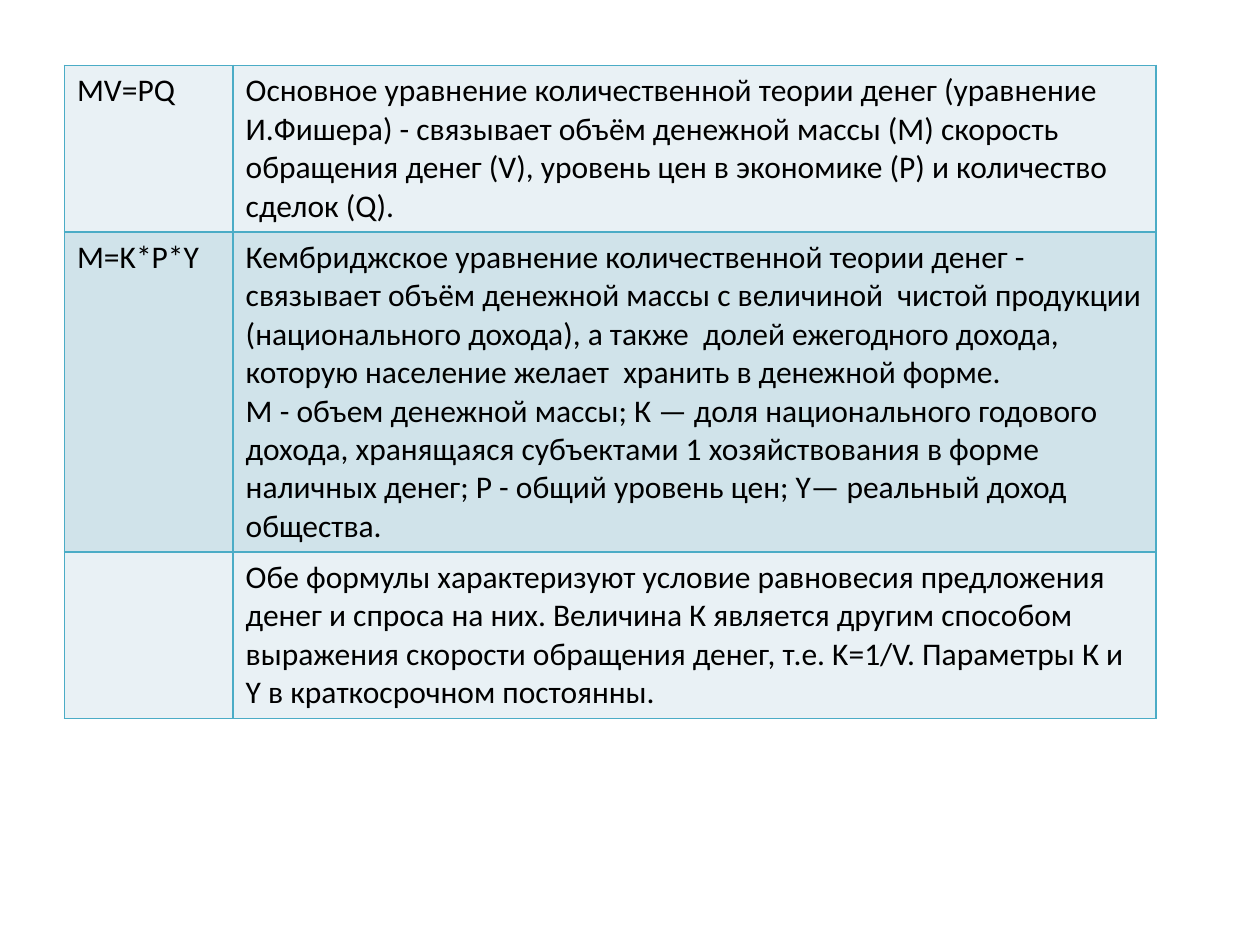
"""Build a slide with a table of the quantity theory of money equations."""
from dataclasses import dataclass

import pptx
import pptx.dml.color
import pptx.oxml
import pptx.oxml.ns
import pptx.util
from pptx.util import Cm

BORDER_COLOR = "4BACC6"
COLUMN_WIDTHS = (Cm(3.4), Cm(18.6))
TEXT_FORMAT = {"name": "Calibri", "size": pptx.util.Pt(18), "bold": False}


@dataclass(frozen=True)
class EquationRow:
    """One equation with its explanation."""
    formula: str
    explanation: str
    height: pptx.util.Length
    fill: str


EQUATION_ROWS = (
    EquationRow(
        "MV=PQ",
        "Основное уравнение количественной теории денег (уравнение И.Фишера) - "
        "связывает объём денежной массы (М) скорость обращения денег (V), "
        "уровень цен в экономике (Р) и количество сделок (Q).",
        Cm(3.35), "E9F1F5"),
    EquationRow(
        "M=K*P*Y",
        "Кембриджское уравнение количественной теории денег - связывает объём "
        "денежной массы с величиной  чистой продукции (национального дохода), "
        "а также  долей ежегодного дохода, которую население желает  хранить "
        "в денежной форме.\n"
        "М - объем денежной массы; К — доля национального годового дохода, "
        "хранящаяся субъектами 1 хозяйствования в форме наличных денег; "
        "Р - общий уровень цен; Y— реальный доход общества.",
        Cm(6.45), "D0E3EA"),
    EquationRow(
        "",
        "Обе формулы характеризуют условие равновесия предложения денег и спроса "
        "на них. Величина К является другим способом выражения скорости обращения "
        "денег, т.е. K=1/V. Параметры К и Y в краткосрочном постоянны.",
        Cm(3.35), "E9F1F5"),
)


def rgb(color: str) -> pptx.dml.color.RGBColor:
    """Return the colour for a hex string."""
    return pptx.dml.color.RGBColor.from_string(color)


def add_borders(cell, color: str, width: int) -> None:
    """Draw a solid line on all four sides of a cell."""
    properties = cell._tc.get_or_add_tcPr()
    for side in ("lnL", "lnR", "lnT", "lnB"):
        properties.append(pptx.oxml.parse_xml(
            f'<a:{side} {pptx.oxml.ns.nsdecls("a")} w="{width}"><a:solidFill>'
            f'<a:srgbClr val="{color}"/></a:solidFill></a:{side}>'))


def write_cell(cell, text: str, fill: str) -> None:
    """Give a cell its borders, fill and formatted text."""
    add_borders(cell, BORDER_COLOR, pptx.util.Pt(1))
    cell.fill.solid()
    cell.fill.fore_color.rgb = rgb(fill)
    cell.text = text
    for paragraph in cell.text_frame.paragraphs:
        for attribute, value in TEXT_FORMAT.items():
            setattr(paragraph.font, attribute, value)
        paragraph.font.color.rgb = rgb("000000")


def add_equation_table(slide, rows: tuple[EquationRow, ...]) -> None:
    """Add the table of equations to the slide."""
    table = slide.shapes.add_table(
        len(rows), len(COLUMN_WIDTHS), Cm(1.3), Cm(1.32),
        sum(COLUMN_WIDTHS), sum(row.height for row in rows)).table
    table.first_row = False
    table.horz_banding = False
    for column, width in zip(table.columns, COLUMN_WIDTHS):
        column.width = width
    for table_row, row in zip(table.rows, rows):
        table_row.height = row.height
        for cell, text in zip(table_row.cells, (row.formula, row.explanation)):
            write_cell(cell, text, row.fill)


def main() -> None:
    """Create and save the presentation."""
    presentation = pptx.Presentation()
    presentation.slide_width = Cm(25.4)
    presentation.slide_height = Cm(19.05)
    slide = presentation.slides.add_slide(presentation.slide_layouts[6])
    add_equation_table(slide, EQUATION_ROWS)
    presentation.save("out.pptx")


if __name__ == "__main__":
    main()
